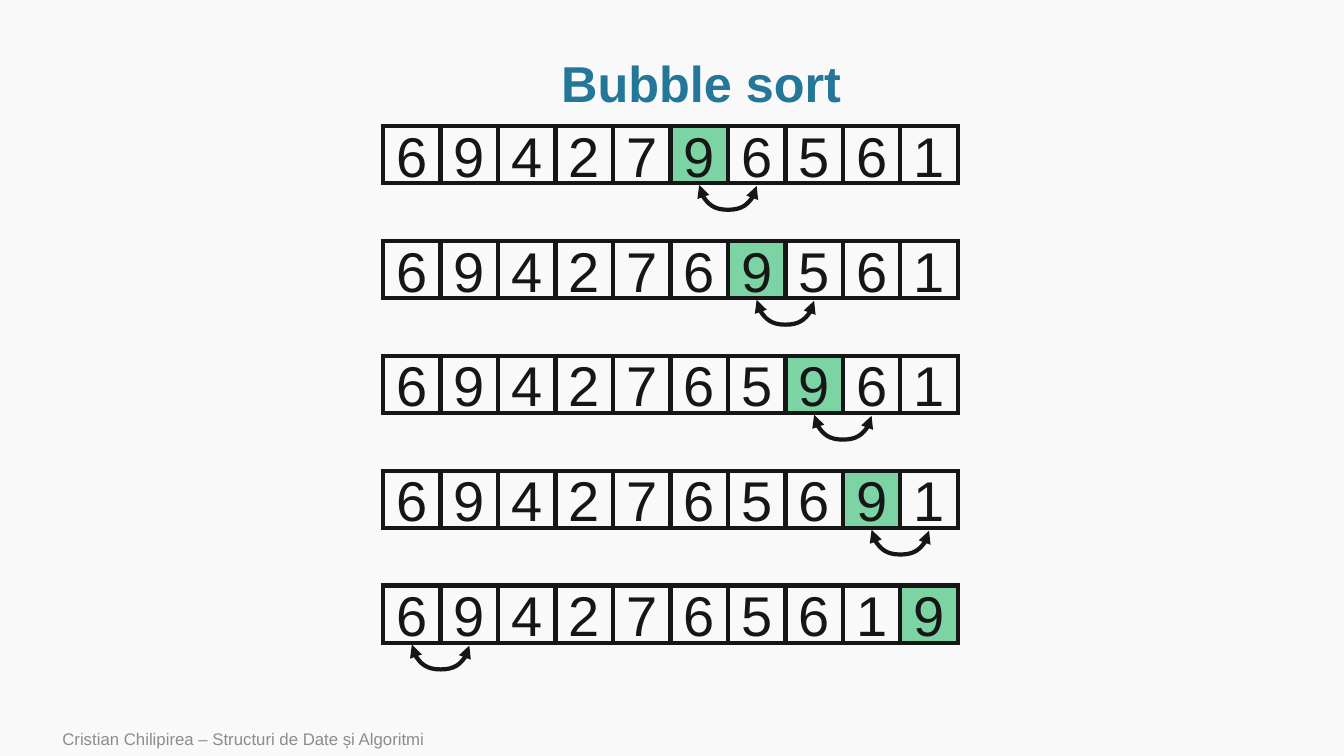
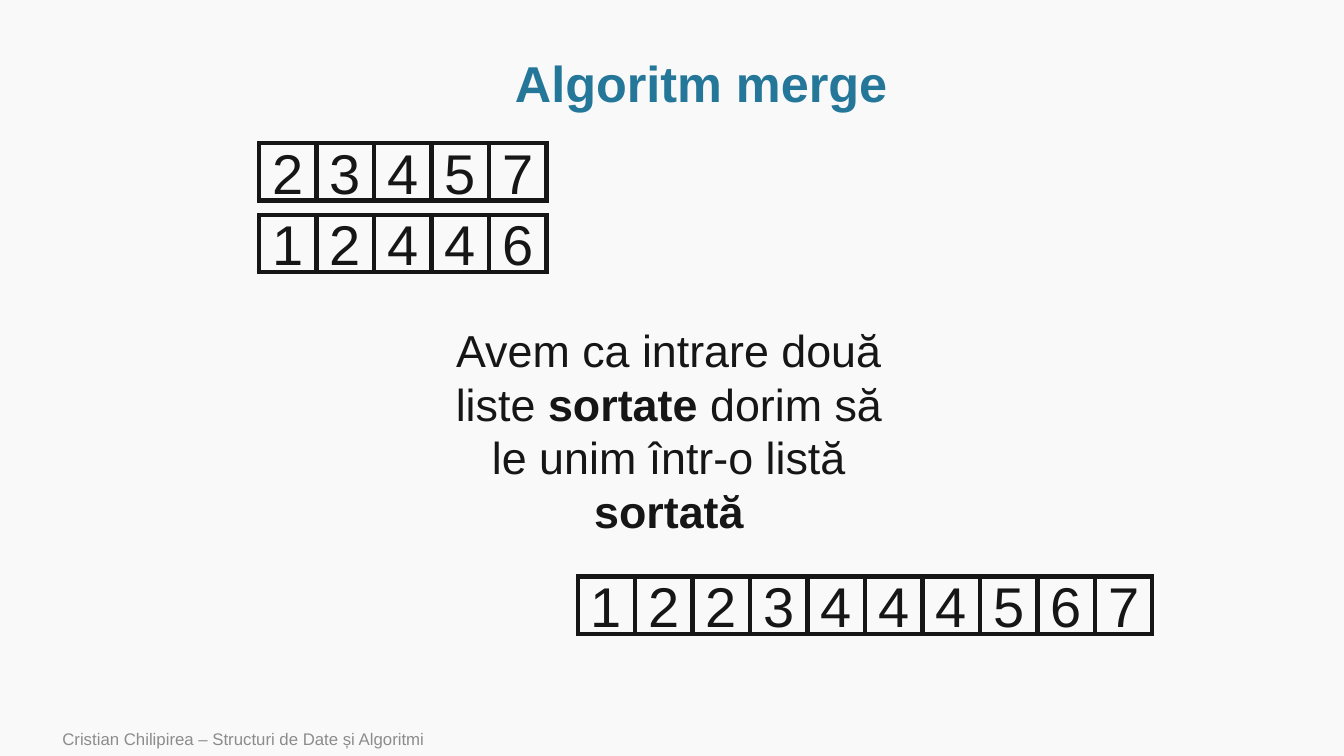
from dataclasses import dataclass
from lxml import etree
from pptx import Presentation
from pptx.dml.color import RGBColor
from pptx.enum import shapes, text
from pptx.oxml import ns
from pptx.util import Inches, Pt


@dataclass(frozen=True)
class Theme:
    font: str = "Arial"
    background: RGBColor = RGBColor(0xF9, 0xF9, 0xF9)
    heading: RGBColor = RGBColor(0x24, 0x77, 0x98)
    ink: RGBColor = RGBColor(0x17, 0x16, 0x16)
    muted: RGBColor = RGBColor(0x8C, 0x8C, 0x8C)
    highlight: RGBColor = RGBColor(0x00, 0xB0, 0x50)
    title_size: int = 36
    digit_size: int = 40
    body_size: int = 32
    footer_size: int = 12
    line: int = 3


THEME = Theme()
CELL = 0.57
FOOTER = "Cristian Chilipirea – Structuri de Date și Algoritmi"

SORT_TITLE = "Bubble sort"
SORT_LEFT, SORT_TOP, SORT_PITCH = 3.8, 1.25, 1.14
SORT_STEPS = [
    ("6942796561", 5, 5),
    ("6942769561", 6, 6),
    ("6942765961", 7, 7),
    ("6942765691", 8, 8),
    ("6942765619", 9, 0),
]

MERGE_TITLE = "Algoritm merge"
MERGE_LISTS = [
    ("23457", 2.57, 1.42),
    ("12446", 2.57, 2.13),
    ("1223444567", 5.73, 5.72),
]
MERGE_TEXT = [
    ("Avem ca intrare două liste ", False),
    ("sortate ", True),
    ("dorim să le unim într-o listă ", False),
    ("sortată", True),
]


def add_xml(parent, tag, **attributes):
    return etree.SubElement(parent, ns.qn(tag), attributes)


def style(p, size, color, align=text.PP_ALIGN.CENTER, bold=None):
    p.alignment = align
    p.font.name = THEME.font
    p.font.size = Pt(size)
    p.font.color.rgb = color
    p.font.bold = bold


def style_line(line):
    line.color.rgb = THEME.ink
    line.width = Pt(THEME.line)


def add_box(s, left, top, width, height):
    box = s.shapes.add_textbox(*map(Inches, (left, top, width, height)))
    box.text_frame.word_wrap = True
    return box.text_frame


def add_slide(prs, title):
    s = prs.slides.add_slide(prs.slide_layouts[5])
    sp = s.shapes.title
    sp.left, sp.top, sp.width, sp.height = map(Inches, (1.14, 0.51, 11.63, 0.69))
    tf = sp.text_frame
    tf.text = title
    tf.vertical_anchor = text.MSO_ANCHOR.MIDDLE
    p = tf.paragraphs[0]
    p.line_spacing = 0.9
    style(p, THEME.title_size, THEME.heading, bold=True)

    tf = add_box(s, 0.52, 7.16, 8.4, 0.34)
    tf.text = FOOTER
    tf.vertical_anchor = text.MSO_ANCHOR.MIDDLE
    style(tf.paragraphs[0], THEME.footer_size, THEME.muted, text.PP_ALIGN.LEFT)
    return s


def add_cells(s, digits, left, top, marked=None):
    for i, digit in enumerate(digits):
        sp = s.shapes.add_shape(
            shapes.MSO_SHAPE.RECTANGLE,
            Inches(left + i * CELL), Inches(top), Inches(CELL), Inches(CELL))
        sp.shadow.inherit = False
        if i == marked:
            sp.fill.solid()
            sp.fill.fore_color.rgb = THEME.highlight
            color = sp.fill._xPr.find(ns.qn("a:solidFill"))[0]
            add_xml(color, "a:alpha", val="50000")
        else:
            sp.fill.background()
        style_line(sp.line)
        add_xml(sp.line._get_or_add_ln(), "a:miter", lim="800000")
        tf = sp.text_frame
        tf.text = digit
        tf.vertical_anchor = text.MSO_ANCHOR.MIDDLE
        style(tf.paragraphs[0], THEME.digit_size, THEME.ink)


def add_swap(s, x, y, rise=0.01, depth=0.25):
    left, top = x - rise / 2, y - CELL / 2
    arrow = s.shapes.add_connector(
        shapes.MSO_CONNECTOR.CURVE,
        Inches(left), Inches(top), Inches(left + rise), Inches(top + CELL))
    style_line(arrow.line)
    ln = arrow.line._get_or_add_ln()
    for end in ("a:headEnd", "a:tailEnd"):
        add_xml(ln, end, type="triangle")
    pr = arrow._element.spPr
    add_xml(pr, "a:effectLst")
    xfrm = pr.find(ns.qn("a:xfrm"))
    xfrm.set("rot", str(270 * 60000))
    xfrm.set("flipH", "1")
    geometry = pr.find(ns.qn("a:prstGeom"))
    guides = geometry.find(ns.qn("a:avLst"))
    if guides is None:
        guides = add_xml(geometry, "a:avLst")
    add_xml(guides, "a:gd", name="adj1", fmla=f"val {round(depth / rise * 100000)}")


def build_sort(prs):
    s = add_slide(prs, SORT_TITLE)
    for row, (digits, marked, swap) in enumerate(SORT_STEPS):
        top = SORT_TOP + row * SORT_PITCH
        add_cells(s, digits, SORT_LEFT, top, marked)
        add_swap(s, SORT_LEFT + (swap + 1) * CELL, top + CELL + 0.02)


def build_merge(prs):
    s = add_slide(prs, MERGE_TITLE)
    tf = add_box(s, 4.25, 3.15, 4.77, 2.32)
    tf.auto_size = text.MSO_AUTO_SIZE.SHAPE_TO_FIT_TEXT
    p = tf.paragraphs[0]
    style(p, THEME.body_size, THEME.ink)
    for words, bold in MERGE_TEXT:
        r = p.add_run()
        r.text = words
        r.font.bold = bold
    for digits, left, top in MERGE_LISTS:
        add_cells(s, digits, left, top)


def main():
    prs = Presentation()
    prs.slide_width, prs.slide_height = Inches(13.33), Inches(7.5)
    fill = prs.slide_master.background.fill
    fill.solid()
    fill.fore_color.rgb = THEME.background
    build_sort(prs)
    build_merge(prs)
    prs.save("out.pptx")


if __name__ == "__main__":
    main()
